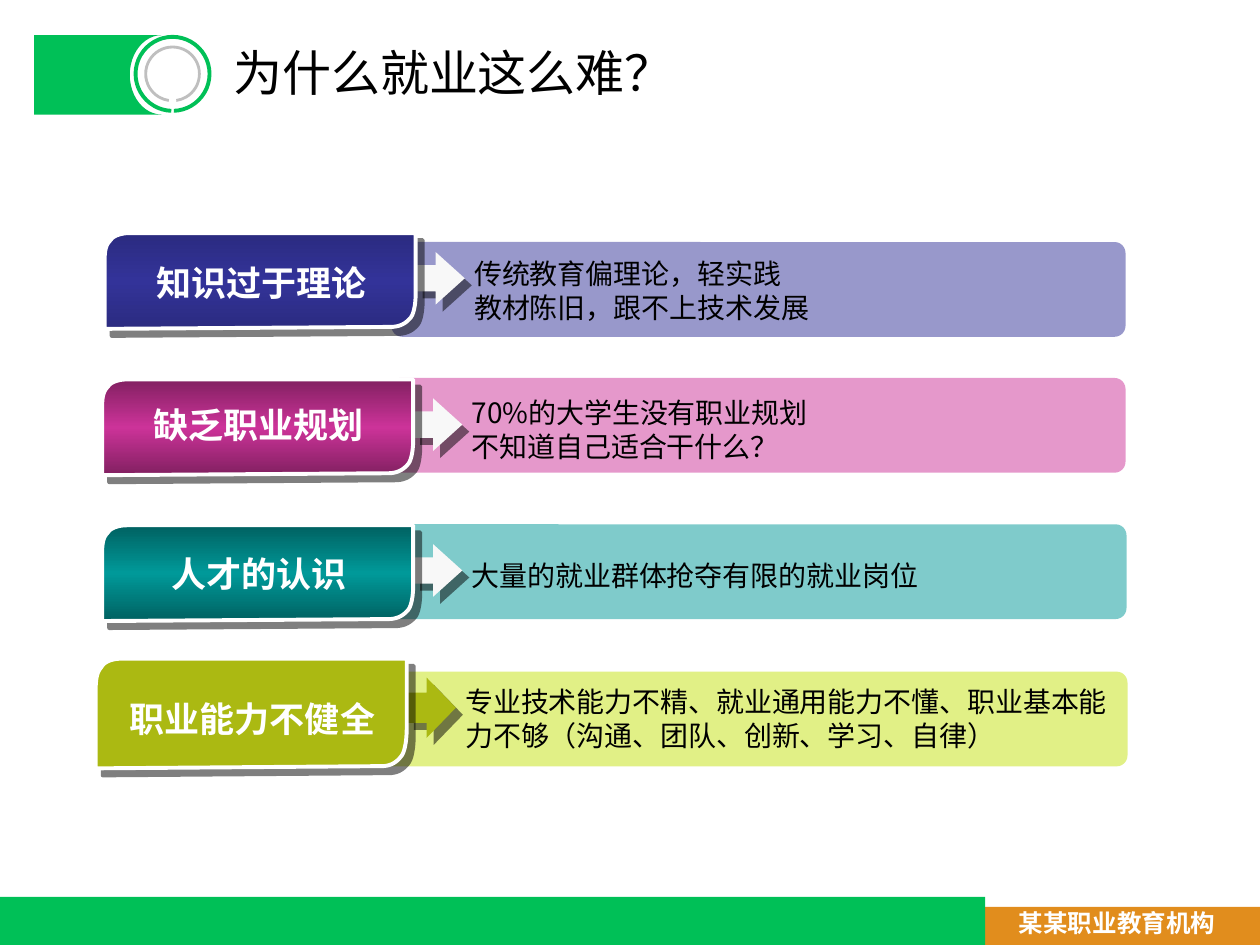
from copy import deepcopy
from dataclasses import dataclass
from math import cos, pi, sin

from lxml import etree
from pptx import Presentation
from pptx import util as u
from pptx.dml.color import RGBColor
from pptx.enum import shapes, text
from pptx.oxml.ns import qn

KIND = shapes.MSO_SHAPE


@dataclass(frozen=True)
class Theme:
    font: str = "Noto Sans CJK SC"
    green: str = "00C057"
    gold: str = "E18D1D"
    grey: str = "BFBFBF"
    white: str = "FFFFFF"
    pale: str = "F8F8F8"
    black: str = "000000"
    head: int = 28
    label: int = 20
    body: int = 16
    foot: int = 14
    pitch: float = 1.21  # line pitch in ems


T = Theme()


@dataclass
class Row:
    label: str
    lines: list
    bar: str     # colour of the wide bar
    stops: list  # colours of the tag, top to bottom
    arrow: str
    box: tuple   # left of tag, top of bar, width, height of bar
    tag: tuple   # tag offset down, tag height
    drop: tuple  # offsets down of label and body


ROWS = [
    Row("知识过于理论", ["传统教育偏理论，轻实践", "教材陈旧，跟不上技术发展"],
        "333399", ["2B2B80", "333399", "2B2B80"], T.pale,
        (2.11, 4.88, 20.58, 1.91), (-0.18, 1.93), (0.25, 0.17)),
    Row("缺乏职业规划", ["70%的大学生没有职业规划", "不知道自己适合干什么？"],
        "CC3399", ["822061", "CC3399", "822061"], T.pale,
        (2.06, 7.62, 20.63, 1.91), (0.03, 1.93), (0.38, 0.23)),
    Row("人才的认识", ["大量的就业群体抢夺有限的就业岗位"],
        "009999", ["006161", "009999", "006161"], T.pale,
        (2.06, 10.57, 20.65, 1.91), (0.02, 1.93), (0.43, 0.56)),
    Row("职业能力不健全",
        ["专业技术能力不精、就业通用能力不懂、职业基本能力不够（沟通、团队、创新、学习、自律）"],
        "C4E20F", ["ABB912"], "ABB912",
        (1.93, 13.54, 20.8, 1.91), (-0.26, 2.21), (0.38, 0.13)),
]


def rgb(code):
    return RGBColor.from_string(code)


def paint(shape, stops, alpha=None):
    """Plain or vertical gradient fill, no line, no shadow."""
    shape.shadow.inherit = False
    shape.line.fill.background()
    fill = shape.fill
    if len(stops) == 1:
        fill.solid()
        fill.fore_color.rgb = rgb(stops[0])
    else:
        fill.gradient()
        fill.gradient_angle = 90
        marks = shape.element.spPr.find(".//" + qn("a:gsLst"))
        marks.insert(1, deepcopy(marks[0]))
        for i, stop in enumerate(fill.gradient_stops):
            stop.position = i / (len(stops) - 1)
            stop.color.rgb = rgb(stops[i])
    if alpha:
        tone = shape.element.spPr.find(".//" + qn("a:srgbClr"))
        etree.SubElement(tone, qn("a:alpha"), val=str(alpha * 1000))


def shade(shape):
    """Hard, half-clear shadow down to the right."""
    spot = shape.element.spPr.find(qn("a:effectLst"))
    cast = etree.SubElement(spot, qn("a:outerShdw"), blurRad="0", dist=str(u.Pt(5.7)),
                            dir="2700000", algn="ctr", rotWithShape="0")
    tone = etree.SubElement(cast, qn("a:srgbClr"), val=T.black)
    etree.SubElement(tone, qn("a:alpha"), val="50000")


def block(slide, kind, box, color, adjust=(), alpha=None):
    shape = slide.shapes.add_shape(kind, *map(u.Cm, box))
    for i, val in enumerate(adjust):
        shape.adjustments[i] = val
    paint(shape, [color], alpha)
    return shape


def shape_of(slide, points, box, stops):
    """Closed outline from points given as fractions of the box."""
    x, y, w, h = box
    spots = [(u.Cm(x + a * w), u.Cm(y + b * h)) for a, b in points]
    pen = slide.shapes.build_freeform(*spots[0])
    pen.add_line_segments(spots[1:], close=True)
    shape = pen.convert_to_shape()
    paint(shape, stops)
    return shape


def curve(a, b, c, d, steps=10):
    """Points along a cubic curve, its start left out."""
    ts = [i / steps for i in range(1, steps + 1)]
    return [tuple((1 - t) ** 3 * p + 3 * t * (1 - t) ** 2 * q
                  + 3 * t * t * (1 - t) * r + t ** 3 * s
                  for p, q, r, s in zip(a, b, c, d)) for t in ts]


def write(frame, lines, size, color, bold=False, align=text.PP_ALIGN.LEFT):
    frame.word_wrap = True
    for i, line in enumerate(lines):
        para = frame.paragraphs[0] if i == 0 else frame.add_paragraph()
        para.alignment = align
        para.line_spacing = u.Pt(round(size * T.pitch, 1))
        para.space_before = u.Pt(0)
        run = para.add_run()
        run.text = line
        font = run.font
        font.name, font.size, font.bold = T.font, u.Pt(size), bold
        font.color.rgb = rgb(color)
        etree.SubElement(run._r.get_or_add_rPr(), qn("a:ea"), typeface=T.font)


def note(slide, box, lines, *style, **more):
    frame = slide.shapes.add_textbox(*map(u.Cm, box)).text_frame
    write(frame, lines, *style, **more)


def header(slide, box):
    x, y, w, h = box
    # Green plate with a round bite on its right
    bite = [(1 - 0.25 * sin(pi * i / 24), (1 - cos(pi * i / 24)) / 2) for i in range(25)]
    shape_of(slide, [(0, 0)] + bite + [(0, 1)], (x, y, 2.57, h), [T.green])
    # Two rings, open at the foot; angles in units of 100000 / 60000 degrees
    mid_x, mid_y = x + 2.79, y + 0.78
    for size, color, start, end in ((1.57, T.green, 92, 88), (1.14, T.grey, 98, 82)):
        ring = (mid_x - size / 2, mid_y - size / 2, size, size)
        block(slide, KIND.BLOCK_ARC, ring, color, (start * 0.6, end * 0.6, 0.05))
    title = slide.shapes.title
    title.left, title.top = u.Cm(x + 3.76), u.Cm(y)
    title.width, title.height = u.Cm(w - 3.76), u.Cm(1.45)
    title.text_frame.vertical_anchor = text.MSO_ANCHOR.MIDDLE
    write(title.text_frame, ["为什么就业这么难？"], T.head, T.black)


def footer(slide, box):
    x, y, w, h = box
    block(slide, KIND.RECTANGLE, (x + 19.1, y + 0.2, w - 19.1, h - 0.2), T.gold)
    block(slide, KIND.RECTANGLE, (x, y, 19.86, h), T.green)
    note(slide, (x + 20.29, y + 0.1, 4.6, 0.86), ["某某职业教育机构"],
         T.foot, T.white, bold=True)


TAG = ([(0.08, 0), (1, 0), (1, 0.65)]
       + curve((1, 0.65), (1, 0.65), (1, 0.81), (0.985, 0.88))
       + curve((0.985, 0.88), (0.97, 0.94), (0.95, 0.98), (0.92, 0.98))
       + [(0, 1), (0, 0.29)]
       + curve((0, 0.29), (0, 0.13), (0.01, 0.11), (0.02, 0.07))
       + curve((0.02, 0.07), (0.03, 0.02), (0.06, 0), (0.08, 0)))


def reason(slide, row):
    x, y, w, h = row.box
    down, tall = row.tag
    wide = 6.27
    # Bar, arrow and tag
    block(slide, KIND.ROUNDED_RECTANGLE, (x + 5.78, y, w - 5.78, h), row.bar, [0.115], 50)
    arrow = (x + wide, y + down + 0.38, 0.99, tall * 0.55)
    shade(block(slide, KIND.RIGHT_ARROW, arrow, row.arrow, (0.5, 0.594)))
    tag = shape_of(slide, TAG, (x, y + down, wide, tall), row.stops)
    tag.line.color.rgb = rgb(T.white)
    tag.line.width = u.Pt(2.25)
    shade(tag)
    # Label and body text
    label, body = row.drop
    note(slide, (x + 0.29, y + label, 5.74, 1.12), [row.label], T.label, T.white,
         bold=True, align=text.PP_ALIGN.CENTER)
    note(slide, (x + 7.2, y + body, 13.59, 1.63), row.lines, T.body, T.black)


def main():
    deck = Presentation()
    deck.slide_width, deck.slide_height = u.Cm(25.4), u.Cm(19.05)
    slide = deck.slides.add_slide(deck.slide_layouts[5])
    footer(slide, (0, 18.08, 25.4, 0.97))
    header(slide, (0.69, 0.71, 20.3, 1.6))
    for row in ROWS:
        reason(slide, row)
    deck.save("out.pptx")


if __name__ == "__main__":
    main()
